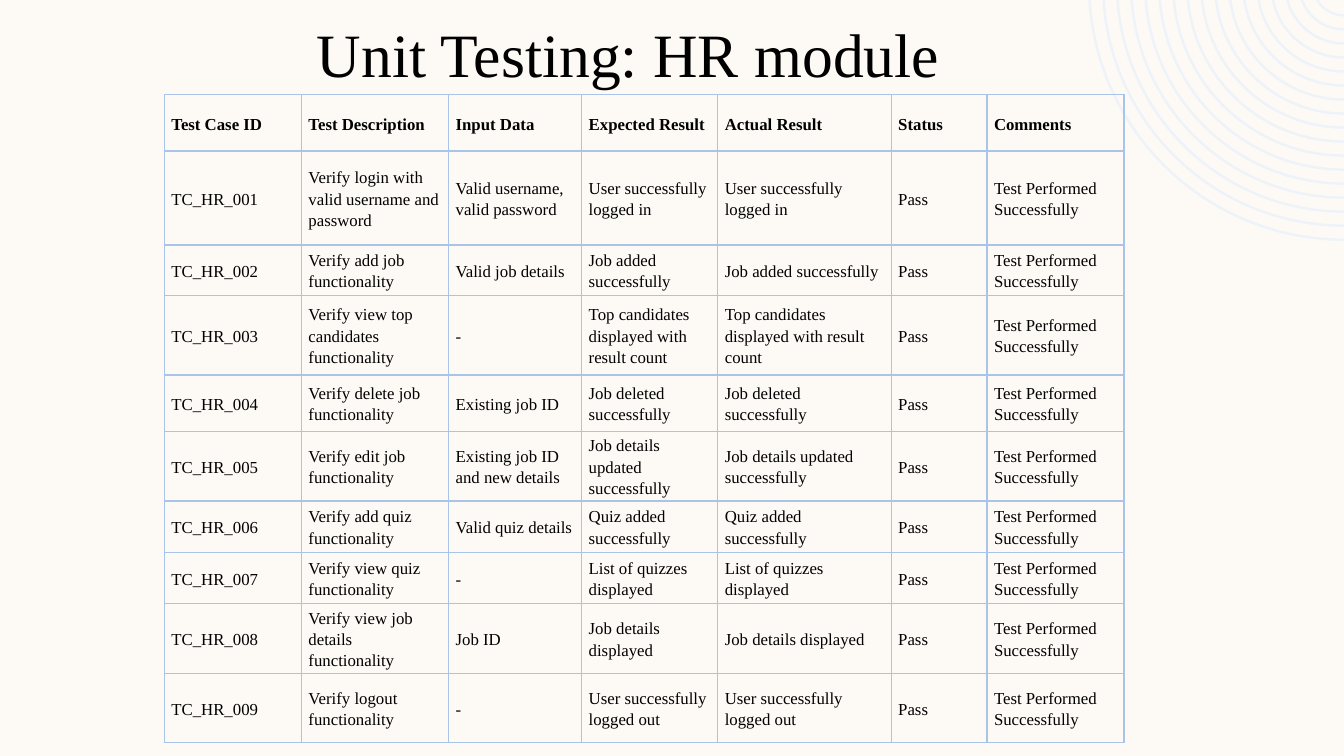
import math

import pptx
import pptx.dml.color
import pptx.enum.text
import pptx.oxml
import pptx.oxml.ns
import pptx.util

Inches = pptx.util.Inches
Pt = pptx.util.Pt
RGBColor = pptx.dml.color.RGBColor
Align = pptx.enum.text.PP_ALIGN
Anchor = pptx.enum.text.MSO_ANCHOR

CREAM = RGBColor(0xFD, 0xFA, 0xF6)
PALE_BLUE = RGBColor(0xEE, 0xF3, 0xFA)
GRID_BLUE = RGBColor(0xAA, 0xC3, 0xE8)
BLACK = RGBColor(0, 0, 0)
FONT = "Times New Roman"

SLIDE_WIDTH, SLIDE_HEIGHT = 13.33, 7.5

HEADINGS = ["Test Case ID", "Test Description", "Input Data", "Expected Result",
            "Actual Result", "Status", "Comments"]
COLUMN_WIDTHS = [1.36, 1.46, 1.32, 1.35, 1.72, 0.95, 1.36]
ROW_HEIGHTS = [0.56, 0.93, 0.5, 0.79, 0.56, 0.69, 0.51, 0.51, 0.69, 0.69]

# Description, input data, and the result that was both expected and seen
TEST_CASES = [
    ("Verify login with valid username and password",
     "Valid username, valid password", "User successfully logged in"),
    ("Verify add job functionality", "Valid job details", "Job added successfully"),
    ("Verify view top candidates functionality", "-",
     "Top candidates displayed with result count"),
    ("Verify delete job functionality", "Existing job ID", "Job deleted successfully"),
    ("Verify edit job functionality", "Existing job ID and new details",
     "Job details updated successfully"),
    ("Verify add quiz functionality", "Valid quiz details", "Quiz added successfully"),
    ("Verify view quiz functionality", "-", "List of quizzes displayed"),
    ("Verify view job details functionality", "Job ID", "Job details displayed"),
    ("Verify logout functionality", "-", "User successfully logged out"),
]


def write_text(frame, text, size=12, bold=False, align=Align.LEFT, spacing=1.0):
    frame.word_wrap = True
    paragraph = frame.paragraphs[0]
    paragraph.alignment = align
    paragraph.line_spacing = spacing
    run = paragraph.add_run()
    run.text = text
    run.font.name = FONT
    run.font.size = Pt(size)
    run.font.bold = bold
    run.font.color.rgb = BLACK


def set_borders(cell, **widths):
    """Set border widths in points by side: L, R, T, B."""
    properties = cell._tc.get_or_add_tcPr()
    for position, (side, width) in enumerate(widths.items()):
        border = pptx.oxml.parse_xml(
            f'<a:ln{side} {pptx.oxml.ns.nsdecls("a")} w="{Pt(width)}">'
            f'<a:solidFill><a:srgbClr val="{GRID_BLUE}"/></a:solidFill></a:ln{side}>')
        properties.insert(position, border)


def merge_into_curve(segments):
    """Turn three line segments into one curve through their points."""
    curve = pptx.oxml.parse_xml(f'<a:cubicBezTo {pptx.oxml.ns.nsdecls("a")}/>')
    segments[0].addprevious(curve)
    for segment in segments:
        curve.append(segment[0])
        segment.getparent().remove(segment)


def add_corner_rings(slide, left, top, width, height):
    """Concentric rings centred just above the box's top right corner."""
    rise = width - height
    center_x, center_y = left + width, top - rise
    ring_count, ring_gap, thickness = 17, 0.139, 0.025

    def arc(radius):
        """Start, two control points and end of a curve down to the right edge."""
        start = math.asin(rise / radius)
        reach = radius * 4 / 3 * math.tan((math.pi / 2 - start) / 4)
        across, down = radius * math.cos(start), rise
        offsets = [(across, down),
                   (across - reach * math.sin(start), down + reach * math.cos(start)),
                   (reach, radius), (0, radius)]
        return [(Inches(center_x - x), Inches(center_y + y)) for x, y in offsets]

    builder = None
    for ring in range(ring_count):
        radius = width - ring * ring_gap
        outline = arc(radius) + arc(radius - thickness)[::-1]
        if builder is None:
            builder = slide.shapes.build_freeform(*outline[0])
        else:
            builder.move_to(*outline[0])
        builder.add_line_segments(outline[1:], close=True)
    rings = builder.convert_to_shape()
    rings.shadow.inherit = False
    rings.fill.solid()
    rings.fill.fore_color.rgb = PALE_BLUE
    rings.line.fill.background()

    # Each ring has an outer curve, a joining line and an inner curve
    segments = list(rings._element.iter(pptx.oxml.ns.qn("a:lnTo")))
    for ring in range(ring_count):
        first = ring * 7
        merge_into_curve(segments[first:first + 3])
        merge_into_curve(segments[first + 4:first + 7])


def add_title(slide, left, top, width, height):
    title = slide.shapes.add_textbox(*map(Inches, (left, top, width, height)))
    write_text(title.text_frame, "Unit Testing: HR module ", size=44, align=Align.CENTER)
    title.text_frame.vertical_anchor = Anchor.BOTTOM


def add_test_table(slide, left, top, width, height):
    rows = [HEADINGS] + [
        [f"TC_HR_{number:03}", description, data, result, result, "Pass",
         "Test Performed Successfully"]
        for number, (description, data, result) in enumerate(TEST_CASES, 1)]
    table = slide.shapes.add_table(
        len(rows), len(HEADINGS), *map(Inches, (left, top, width, height))).table
    table.first_row = table.horz_banding = False
    for column, column_width in zip(table.columns, COLUMN_WIDTHS):
        column.width = Inches(column_width)
    for row, row_height in zip(table.rows, ROW_HEIGHTS):
        row.height = Inches(row_height)

    for row_index, row_texts in enumerate(rows):
        for column_index, text in enumerate(row_texts):
            cell = table.cell(row_index, column_index)
            cell.fill.background()
            cell.vertical_anchor = Anchor.MIDDLE
            cell.margin_left = cell.margin_right = Inches(0.07)
            cell.margin_top = cell.margin_bottom = 0
            write_text(cell.text_frame, text, bold=row_index == 0, spacing=1.15)
            # The rule under the headings is heavier
            set_borders(cell, L=1, R=1, T=2 if row_index == 1 else 1,
                        B=2 if row_index == 0 else 1)


def main():
    deck = pptx.Presentation()
    deck.slide_width, deck.slide_height = Inches(SLIDE_WIDTH), Inches(SLIDE_HEIGHT)
    slide = deck.slides.add_slide(deck.slide_layouts[6])
    slide.background.fill.solid()
    slide.background.fill.fore_color.rgb = CREAM

    add_corner_rings(slide, 10.79, 0, 2.54, 2.39)
    add_title(slide, 1.48, 0.01, 9.66, 0.93)
    add_test_table(slide, 1.63, 0.94, 9.51, 6.45)
    deck.save("out.pptx")


if __name__ == "__main__":
    main()
